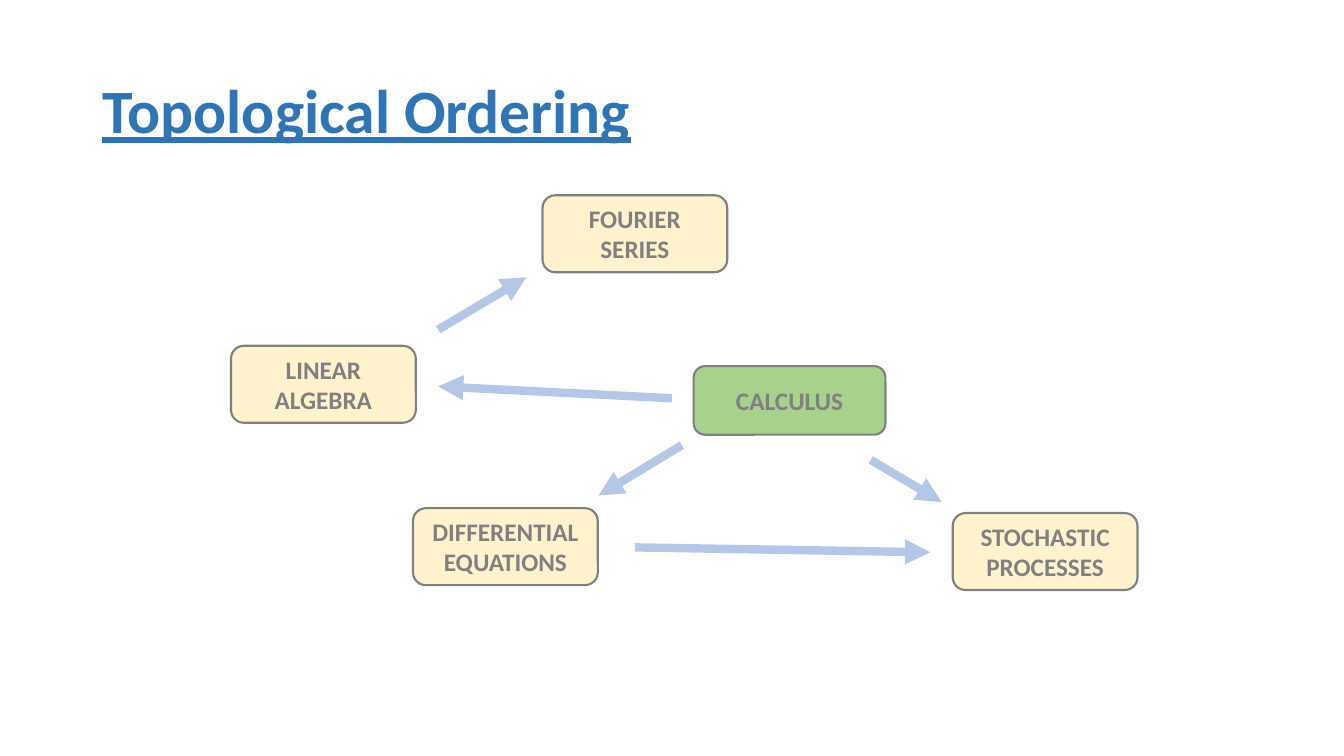
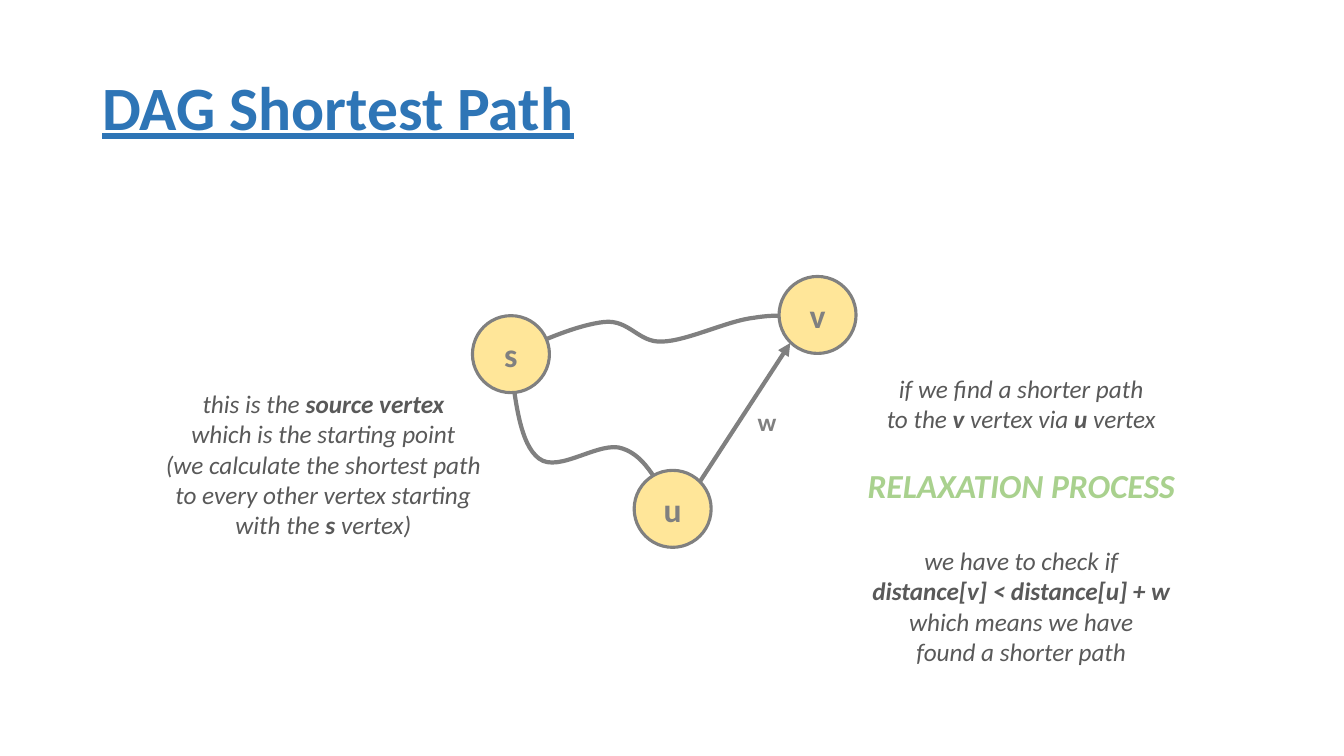
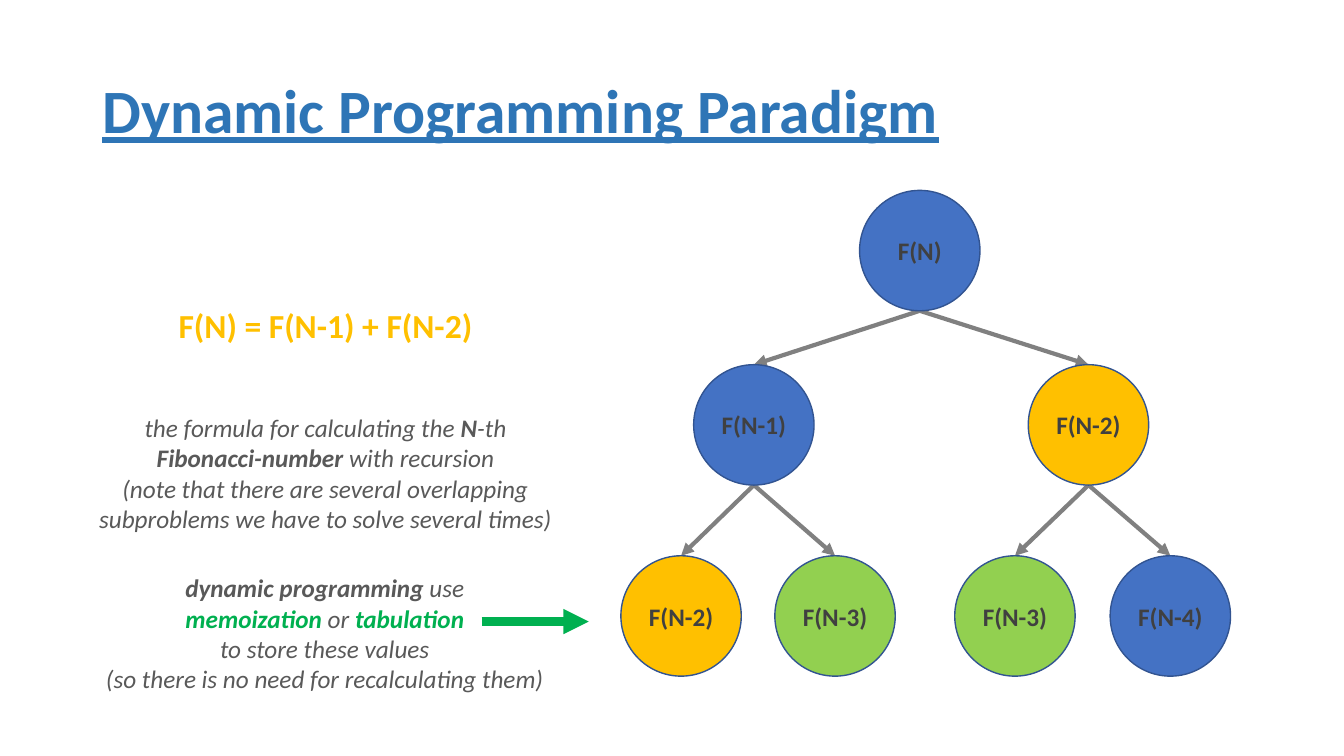
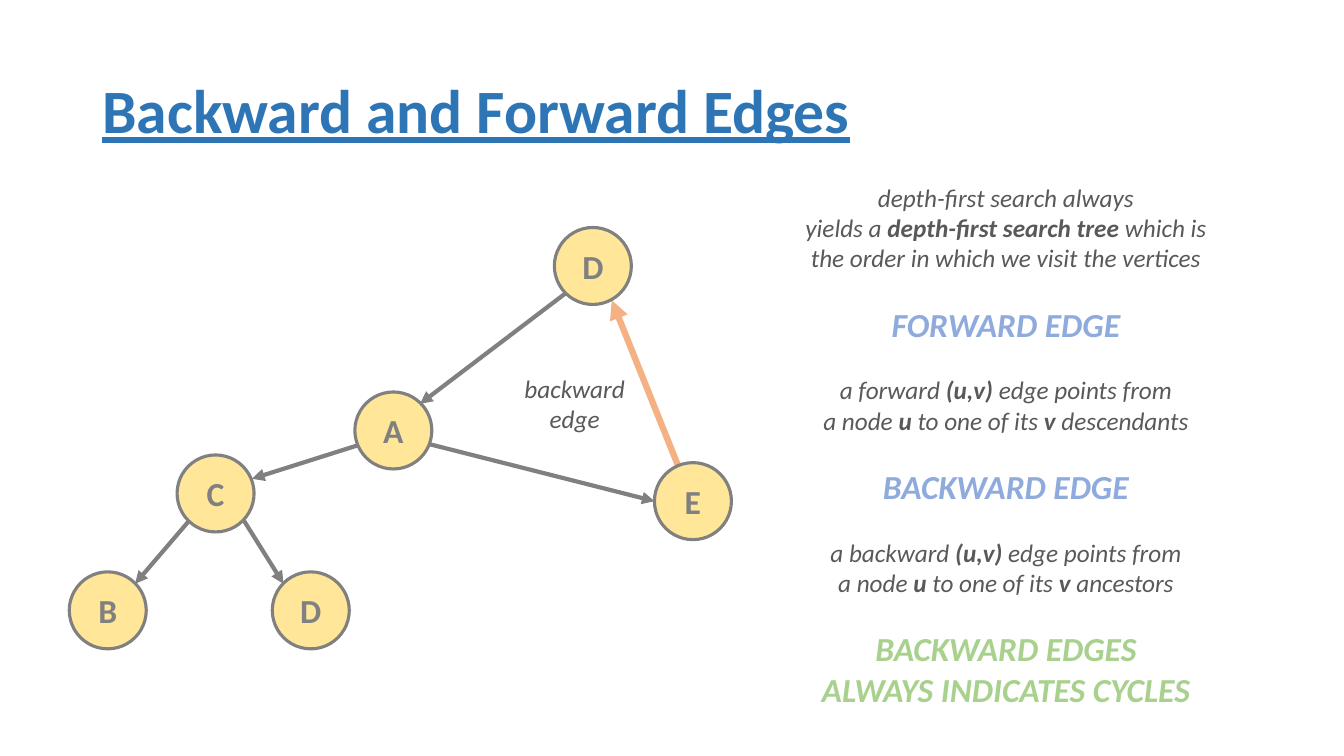
from dataclasses import dataclass

from lxml import etree
from pptx import Presentation
from pptx.dml.color import RGBColor
from pptx.enum import shapes as kinds, text as t
from pptx.oxml.ns import qn
from pptx.util import Pt


@dataclass(frozen=True)
class Theme:
    """Colours, font and type sizes of the whole deck."""
    font: str = "Calibri"
    title_size: int = 44
    large: int = 24
    body: int = 18
    title: str = "2E75B6"
    note: str = "595959"
    gray: str = "808080"
    dark: str = "404040"
    cream: str = "FFF2CC"
    sand: str = "FFE699"
    sage: str = "A9D18E"
    pale_blue: str = "B4C7E7"
    sky: str = "8FAADC"
    blue: str = "4472C4"
    navy: str = "325491"
    gold: str = "FFC000"
    lime: str = "92D050"
    green: str = "00B050"
    peach: str = "F4B183"


theme = Theme()


def write(frame, words, size=theme.body, color=theme.note, accent=None, bold=False,
          italic=False, underline=False, align=t.PP_ALIGN.CENTER, gap=0, spacing=None):
    """Append one paragraph per line; *starred* words are bold, in the accent colour if given."""
    for row, line in enumerate(words.split("\n")):
        paragraph = frame.paragraphs[-1]
        if paragraph.runs:
            paragraph = frame.add_paragraph()
        paragraph.alignment = align
        paragraph.line_spacing = spacing
        paragraph.space_before = Pt(0 if row else gap)
        for index, piece in enumerate(line.split("*")):
            if not piece:
                continue
            starred = index % 2 == 1
            run = paragraph.add_run()
            run.text = piece
            font = run.font
            font.name, font.size = theme.font, Pt(size)
            font.bold, font.italic, font.underline = bold or starred, italic, underline
            font.color.rgb = RGBColor.from_string(accent if starred and accent else color)


def draw_arrow(slide, start, end, color, weight):
    """Draw a straight arrow from start to end."""
    arrow = slide.shapes.add_connector(
        kinds.MSO_CONNECTOR.STRAIGHT, *(Pt(value) for value in (*start, *end)))
    arrow.line.color.rgb = RGBColor.from_string(color)
    arrow.line.width = Pt(weight)
    properties = arrow.element.spPr
    etree.SubElement(properties.find(qn("a:ln")), qn("a:tailEnd"), type="triangle")
    etree.SubElement(properties, qn("a:effectLst"))


# Styles: text formats, node formats (preset, outline, weight, label format), arrow formats
note = dict(italic=True)
sage_heading = dict(size=theme.large, color=theme.sage, bold=True, italic=True, gap=22)
sky_heading = dict(sage_heading, color=theme.sky)
subject_box = (kinds.MSO_SHAPE.ROUNDED_RECTANGLE, theme.gray, 1.5,
               dict(color=theme.gray, bold=True))
vertex = (kinds.MSO_SHAPE.OVAL, theme.gray, 2.25,
          dict(size=theme.large, color=theme.gray, bold=True))
call = (kinds.MSO_SHAPE.OVAL, theme.navy, 1, dict(color=theme.dark, bold=True))
wide_blue = (theme.pale_blue, 6)
gray_edge = (theme.gray, 3)
vertex_size = 55
call_size = 86

# Nodes are (label, left, top, width, height, fill); arrows are (start, end, format)
subjects = [(label, left, top, 132, 55, theme.cream) for label, left, top in (
    ("FOURIER SERIES", 387.5, 139.5),
    ("LINEAR ALGEBRA", 165, 247),
    ("DIFFERENTIAL\nEQUATIONS", 295, 363),
    ("STOCHASTIC PROCESSES", 680.5, 366.5))]
subjects.append(("CALCULUS", 495.5, 261.5, 137, 49, theme.sage))
prerequisites = [(start, end, wide_blue) for start, end in (
    ((313, 235.5), (376, 198)),
    ((480, 284.5), (313, 276)),
    ((487, 318), (427.5, 354)),
    ((453.5, 391), (664.5, 394.5)),
    ((622, 328.5), (672.5, 358.5)))]

path_vertices = [(label, left, top, vertex_size, vertex_size, theme.sand)
                 for label, left, top in (
    ("v", 556.5, 197.5), ("u", 453, 336), ("s", 337.5, 225.5))]
# Each route is a start point followed by three points per Bezier segment
routes = [
    [(366, 253), (389.5, 242), (413.5, 232), (431.5, 230),
     (449.5, 228), (456, 245), (473, 244),
     (491, 243.5), (520, 229), (538.5, 227),
     (556.5, 224), (569.5, 226), (583, 228)],
    [(364.5, 256.5), (368, 286.5), (371.5, 317.5), (385, 327.5),
     (399, 338.5), (429, 314), (445, 320.5),
     (461.5, 326), (471, 346.5), (481, 366)]]

# Fibonacci calls in heap order: the children of call k are 2k + 1 and 2k + 2
calls = [(label, left, top, call_size, call_size, fill) for label, left, top, fill in (
    ("F(N)", 614, 136, theme.blue),
    ("F(N-1)", 495.5, 260.5, theme.blue),
    ("F(N-2)", 734.5, 260.5, theme.gold),
    ("F(N-2)", 443.5, 397, theme.gold),
    ("F(N-3)", 553.5, 397, theme.lime),
    ("F(N-3)", 682, 397, theme.lime),
    ("F(N-4)", 793, 397, theme.blue))]
recursion = [((344, 444), (420.5, 444), (theme.green, 6))]
for child in range(1, len(calls)):
    _, parent_left, parent_top, *_ = calls[(child - 1) // 2]
    _, child_left, child_top, *_ = calls[child]
    recursion.append(((parent_left + call_size / 2, parent_top + call_size),
                      (child_left + call_size / 2, child_top), gray_edge))

search_vertices = [(label, left, top, vertex_size, vertex_size, theme.sand)
                   for label, left, top in (
    ("D", 396, 162.5), ("A", 253.5, 280), ("C", 126.5, 325),
    ("B", 49.5, 408.5), ("D", 194.5, 408.5), ("E", 467.5, 330.5))]
search_edges = [(start, end, gray_edge) for start, end in (
    ((404, 209.5), (300, 288.5)),
    ((278, 311), (180, 342)),
    ((282, 311), (467.5, 358)),
    ((135.5, 371.5), (96.5, 417)),
    ((174, 371.5), (202.5, 417)))]
search_edges.append(((494.5, 358), (437, 214.5), (theme.peach, 4.5)))

# Notes are (left, top, width, height) with their (words, format) parts
pages = [
    dict(title="Topological Ordering", top=29, style=subject_box,
         nodes=subjects, arrows=prerequisites, curves=[], notes=[]),
    dict(title="DAG Shortest Path", top=26.5, style=vertex, nodes=path_vertices,
         arrows=[((500, 344), (564.5, 245), gray_edge)], curves=routes, notes=[
             ((105, 274, 252, 117), [
                 ("this is the *source vertex*\nwhich is the starting point\n"
                  "(we calculate the shortest path\nto every other vertex starting\n"
                  "with the *s* vertex)", note)]),
             ((611.5, 263, 236, 218), [
                 ("if we find a shorter path\nto the *v* vertex via *u* vertex", note),
                 ("RELAXATION PROCESS", sage_heading),
                 ("we have to check if\n*distance[v] < distance[u] + w*\n"
                  "which means we have\nfound a shorter path", dict(note, gap=29))]),
             ((534, 286.5, 26, 29), [("w", dict(color=theme.gray, bold=True))])]),
    dict(title="Dynamic Programming Paradigm", top=29, style=call,
         nodes=calls, arrows=recursion, curves=[], notes=[
             ((119.5, 214, 226, 36), [
                 ("F(N) = F(N-1) + F(N-2)",
                  dict(size=theme.large, color=theme.gold, bold=True))]),
             ((62, 291, 341, 94), [
                 ("the formula for calculating the *N*-th\n*Fibonacci-number* with recursion\n"
                  "(note that there are several overlapping\n"
                  "subproblems we have to solve several times)", note)]),
             ((67, 405.5, 330, 94), [
                 ("*dynamic programming* use", note),
                 ("*memoization* or *tabulation*", dict(note, accent=theme.green)),
                 ("to store these values\n(so there is no need for recalculating them)",
                  note)])]),
    dict(title="Backward and Forward Edges", top=29, style=vertex,
         nodes=search_vertices, arrows=search_edges, curves=[], notes=[
             ((564, 126.5, 309, 407), [
                 ("depth-first search always\nyields a *depth-first search tree* which is\n"
                  "the order in which we visit the vertices", note),
                 ("FORWARD EDGE", sky_heading),
                 ("a forward *(u,v)* edge points from\n"
                  "a node *u* to one of its *v* descendants", dict(note, gap=22)),
                 ("BACKWARD EDGE", sky_heading),
                 ("a backward *(u,v)* edge points from\n"
                  "a node *u* to one of its *v* ancestors", dict(note, gap=22)),
                 ("BACKWARD EDGES\nALWAYS INDICATES CYCLES", sage_heading)]),
             ((365, 263, 91, 51), [("backward\nedge", note)])]),
]

deck = Presentation()
deck.slide_width, deck.slide_height = Pt(960), Pt(540)

for page in pages:
    slide = deck.slides.add_slide(deck.slide_layouts[5])
    title = slide.shapes.title
    title.left, title.top, title.width, title.height = (
        Pt(value) for value in (66, page["top"], 828, 104.5))
    title.text_frame.vertical_anchor = t.MSO_ANCHOR.MIDDLE
    title.text_frame.auto_size = t.MSO_AUTO_SIZE.NONE
    write(title.text_frame, page["title"], size=theme.title_size, color=theme.title,
          bold=True, underline=True, align=t.PP_ALIGN.LEFT, spacing=0.9)

    for start, end, (color, weight) in page["arrows"]:
        draw_arrow(slide, start, end, color, weight)

    for points in page["curves"]:
        first, *others = [(Pt(x), Pt(y)) for x, y in points]
        builder = slide.shapes.build_freeform(*first)
        builder.add_line_segments(others, close=False)
        route = builder.convert_to_shape()
        route.shadow.inherit = False
        route.fill.background()
        route.line.color.rgb = RGBColor.from_string(theme.gray)
        route.line.width = Pt(3)
        # Join every three straight steps into one Bezier segment
        steps = list(route.element.iter(qn("a:lnTo")))
        for segment, handle, end in zip(steps[::3], steps[1::3], steps[2::3]):
            bend = etree.Element(qn("a:cubicBezTo"))
            segment.addprevious(bend)
            for step in (segment, handle, end):
                bend.append(step[0])
                step.getparent().remove(step)

    preset, outline, weight, label_format = page["style"]
    for label, left, top, width, height, fill in page["nodes"]:
        node = slide.shapes.add_shape(
            preset, *(Pt(value) for value in (left, top, width, height)))
        node.shadow.inherit = False
        node.fill.solid()
        node.fill.fore_color.rgb = RGBColor.from_string(fill)
        node.line.color.rgb = RGBColor.from_string(outline)
        node.line.width = Pt(weight)
        node.text_frame.word_wrap = preset == kinds.MSO_SHAPE.ROUNDED_RECTANGLE
        node.text_frame.vertical_anchor = t.MSO_ANCHOR.MIDDLE
        write(node.text_frame, label, **label_format)

    for place, parts in page["notes"]:
        frame = slide.shapes.add_textbox(*(Pt(value) for value in place)).text_frame
        frame.word_wrap = False
        for words, text_format in parts:
            write(frame, words, **text_format)

deck.save("out.pptx")
